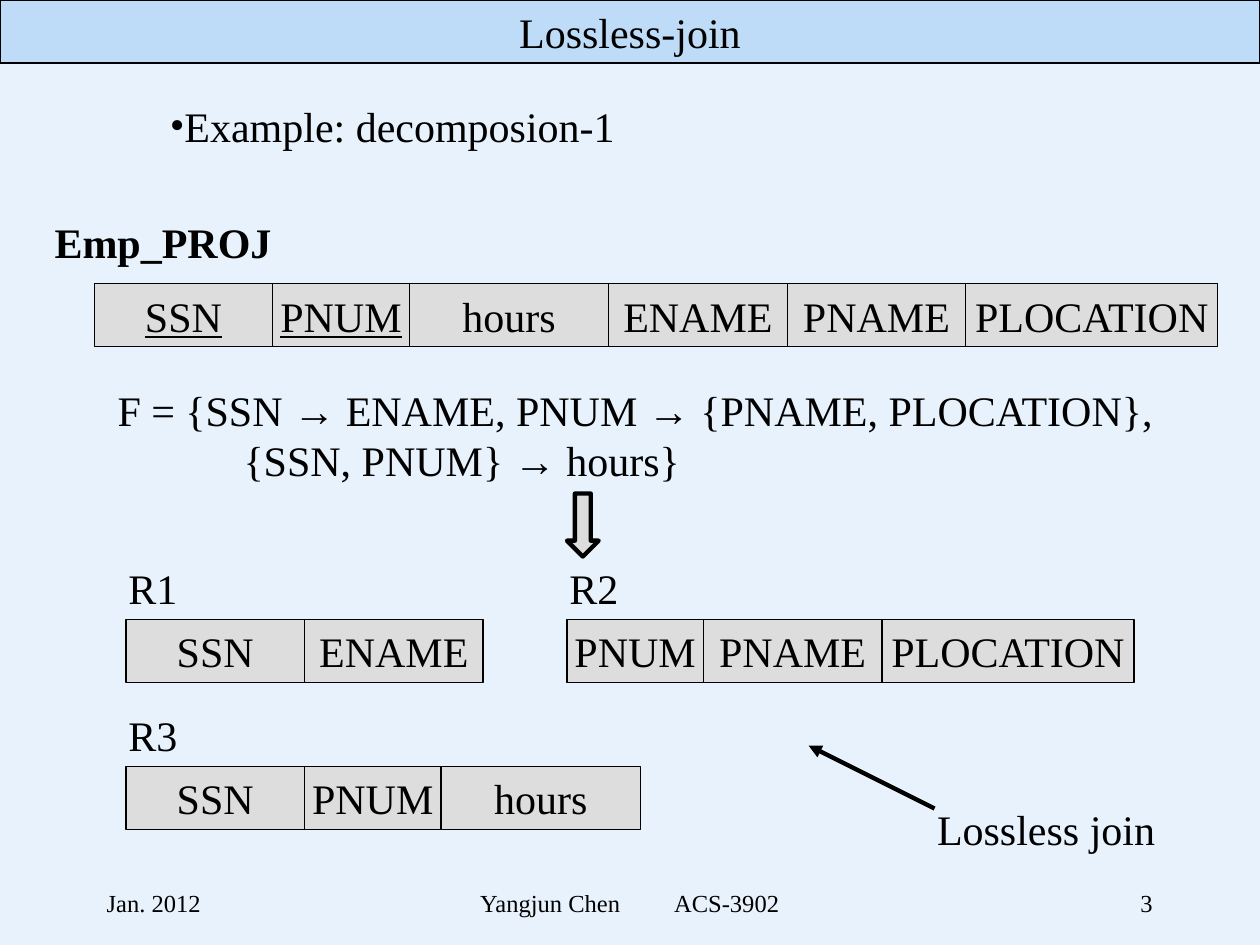
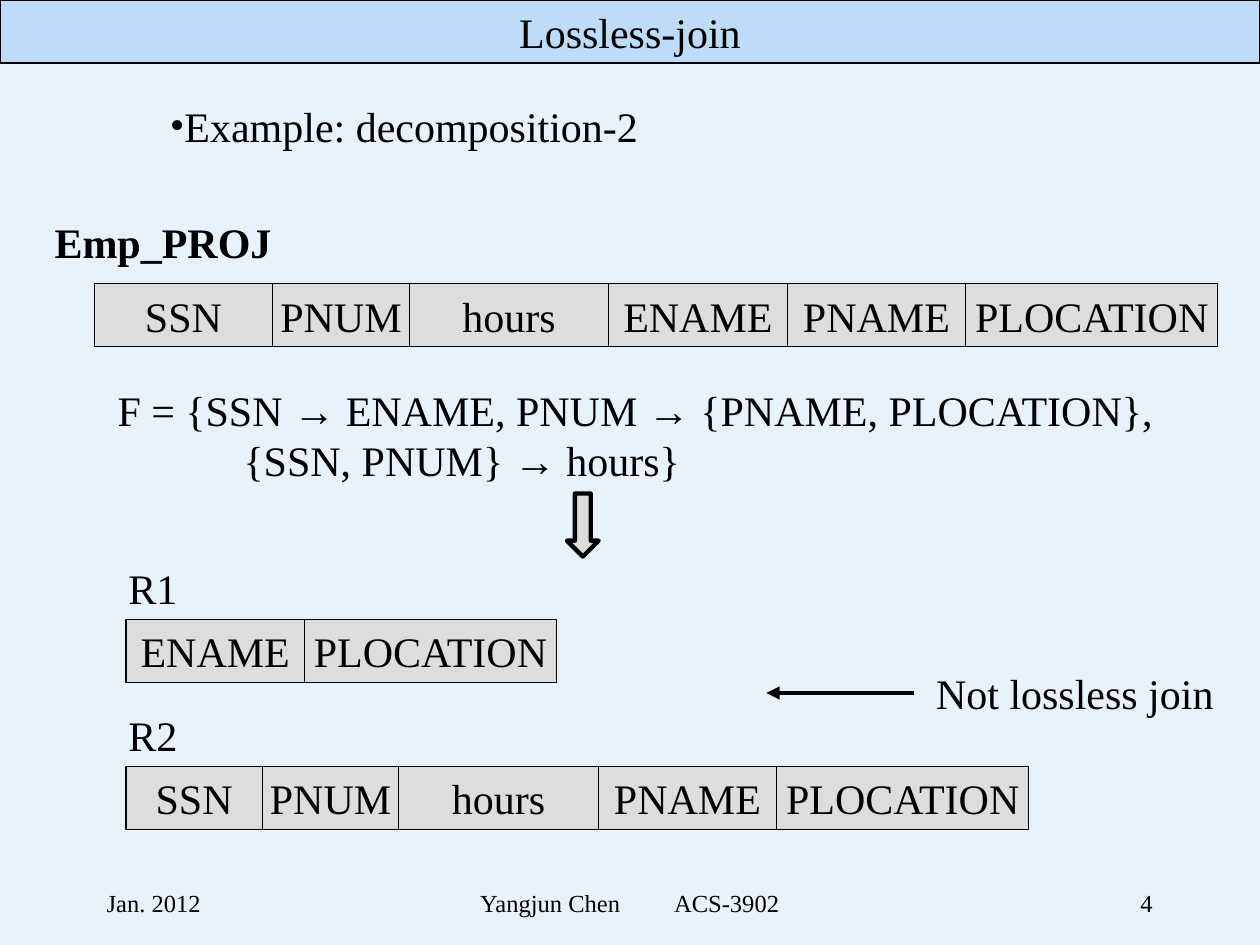
import itertools

import pptx
import pptx.dml.color
import pptx.enum.shapes
import pptx.enum.text
import pptx.oxml.ns
import pptx.util
from lxml import etree

Cm = pptx.util.Cm
Pt = pptx.util.Pt
Align = pptx.enum.text.PP_ALIGN
Anchor = pptx.enum.text.MSO_ANCHOR

BACKGROUND, BAND, CELL, INK = "E8F2FC", "BEDCF8", "DDDDDD", "000000"
TEXT_FONT, ARROW_FONT = "Times New Roman", "Arial"
TEXT_SIZE, FOOTER_SIZE = 24, 14

# Lengths in centimetres
SLIDE_WIDTH, SLIDE_HEIGHT = 25.4, 19.05
ROW_HEIGHT = 1.27
COLUMN_WIDTHS = {"SSN": 3.6, "PNUM": 2.75, "hours": 4.02,
                 "ENAME": 3.6, "PNAME": 3.6, "PLOCATION": 5.08}
LEFT, MIDDLE = 2.54, 11.43
UPPER, LOWER = 12.49, 15.45

TITLE = "Lossless-join"
SOURCE_RELATION = "Emp_PROJ"
SOURCE_ATTRIBUTES = ["SSN", "PNUM", "hours", "ENAME", "PNAME", "PLOCATION"]
DEPENDENCIES = ["F = {SSN → ENAME, PNUM → {PNAME, PLOCATION},",
                "{SSN, PNUM} → hours}"]
DATE = "Jan. 2012"
AUTHOR_AND_COURSE = ["Yangjun Chen", "ACS-3902"]

EXAMPLES = [
    {
        "page": "3",
        "heading": "Example: decomposion-1",
        "keys": ["SSN", "PNUM"],
        "relations": [
            ("R1", LEFT, UPPER, ["SSN", "ENAME"], {}),
            ("R2", MIDDLE, UPPER, ["PNUM", "PNAME", "PLOCATION"], {}),
            ("R3", LEFT, LOWER, ["SSN", "PNUM", "hours"], {}),
        ],
        "verdict": ("Lossless join", 18.64, 16.08),
        "pointer": (18.84, 16.3, 16.3, 15.03),
    },
    {
        "page": "4",
        "heading": "Example: decomposition-2",
        "keys": [],
        "relations": [
            ("R1", LEFT, UPPER, ["ENAME", "PLOCATION"], {}),
            ("R2", LEFT, LOWER,
             ["SSN", "PNUM", "hours", "PNAME", "PLOCATION"], {"SSN": 2.75}),
        ],
        "verdict": ("Not lossless join", 18.62, 13.34),
        "pointer": (18.42, 13.97, 15.45, 13.97),
    },
]


def color(hex_string):
    return pptx.dml.color.RGBColor.from_string(hex_string)


def add_xml(parent, tag, **attributes):
    return etree.SubElement(parent, pptx.oxml.ns.qn(tag), attributes)


def place(shape, left, top, width, height):
    shape.left, shape.top = Cm(left), Cm(top)
    shape.width, shape.height = Cm(width), Cm(height)


def paint(shape, fill, line_width=0.75):
    shape.fill.solid()
    shape.fill.fore_color.rgb = color(fill)
    shape.line.color.rgb = color(INK)
    shape.line.width = Pt(line_width)


def write(shape, lines, size=TEXT_SIZE, align=Align.LEFT, anchor=Anchor.TOP,
          wrap=True, bold=False, underline=False):
    """Fill a shape with paragraphs, setting each → in the arrow font."""
    frame = shape.text_frame
    frame.auto_size = pptx.enum.text.MSO_AUTO_SIZE.NONE
    frame.word_wrap = wrap
    frame.vertical_anchor = anchor
    for number, line in enumerate(lines):
        paragraph = frame.add_paragraph() if number else frame.paragraphs[0]
        paragraph.alignment = align
        paragraph.space_before = Pt(0)
        for is_arrow, letters in itertools.groupby(line, lambda letter: letter == "→"):
            run = paragraph.add_run()
            run.text = "".join(letters)
            run.font.name = ARROW_FONT if is_arrow else TEXT_FONT
            run.font.size = Pt(size)
            run.font.bold = bold
            run.font.underline = underline
            run.font.color.rgb = color(INK)
    return frame


def add_text(slide, lines, left, top, width, height=ROW_HEIGHT, **style):
    box = slide.shapes.add_textbox(Cm(left), Cm(top), Cm(width), Cm(height))
    return write(box, lines, **style)


def add_shape(slide, kind, left, top, width, height, line_width=0.75):
    shape = slide.shapes.add_shape(kind, Cm(left), Cm(top), Cm(width), Cm(height))
    shape.shadow.inherit = False
    paint(shape, CELL, line_width)
    return shape


def add_relation(slide, left, top, attributes, widths, keys=()):
    """Draw the attributes as touching cells, underlining the keys."""
    for attribute in attributes:
        width = widths[attribute]
        cell = add_shape(slide, pptx.enum.shapes.MSO_SHAPE.RECTANGLE,
                         left, top, width, ROW_HEIGHT)
        write(cell, [attribute], align=Align.CENTER, anchor=Anchor.MIDDLE,
              wrap=False, underline=attribute in keys)
        left += width


def add_pointer(slide, ends):
    pointer = slide.shapes.add_connector(
        pptx.enum.shapes.MSO_CONNECTOR.STRAIGHT, *[Cm(end) for end in ends])
    pointer.line.color.rgb = color(INK)
    pointer.line.width = Pt(2.5)
    add_xml(pointer.line._get_or_add_ln(), "a:tailEnd", type="triangle")
    add_xml(pointer._element.spPr, "a:effectLst")


def add_title(slide):
    title = slide.shapes.title
    place(title, 0, 0, SLIDE_WIDTH, ROW_HEIGHT)
    paint(title, BAND)
    write(title, [TITLE], align=Align.CENTER)


def add_heading(slide, heading):
    body = slide.placeholders[1]
    place(body, 1.9, 1.9, 22.86, ROW_HEIGHT)
    paragraph = write(body, [heading]).paragraphs[0]
    properties = paragraph._p.get_or_add_pPr()
    properties.set("marL", str(Cm(0.53)))
    properties.set("indent", str(Cm(0.74)))
    add_xml(add_xml(properties, "a:buClr"), "a:srgbClr", val=INK)
    add_xml(properties, "a:buFont", typeface=TEXT_FONT)
    add_xml(properties, "a:buChar", char="•")


def add_footer(slide, page):
    top = 17.78
    add_text(slide, [DATE], 1.9, top, 5.29, size=FOOTER_SIZE)
    frame = add_text(slide, ["\t".join(AUTHOR_AND_COURSE)], 9.43, top, 7,
                     size=FOOTER_SIZE)
    tabs = add_xml(frame.paragraphs[0]._p.get_or_add_pPr(), "a:tabLst")
    add_xml(tabs, "a:tab", pos=str(Cm(3.91)), algn="l")
    add_text(slide, [page], 18.2, top, 5.29, size=FOOTER_SIZE, align=Align.RIGHT)


def add_example(presentation, example):
    slide = presentation.slides.add_slide(presentation.slide_layouts[1])
    add_title(slide)
    add_heading(slide, example["heading"])

    add_text(slide, [SOURCE_RELATION], 0.85, 4.23, 9.31, bold=True)
    add_relation(slide, 1.9, 5.72, SOURCE_ATTRIBUTES, COLUMN_WIDTHS, example["keys"])

    frame = add_text(slide, DEPENDENCIES, 2.12, 7.62, 22.65, 2.29)
    frame.paragraphs[1]._p.get_or_add_pPr().set("marL", str(Cm(2.54)))
    add_shape(slide, pptx.enum.shapes.MSO_SHAPE.DOWN_ARROW,
              MIDDLE, 9.95, 0.64, ROW_HEIGHT, line_width=2.5)

    for name, left, top, attributes, own_widths in example["relations"]:
        add_text(slide, [name], left - 0.2, top - ROW_HEIGHT, 1.5)
        add_relation(slide, left, top, attributes, COLUMN_WIDTHS | own_widths)

    verdict, left, top = example["verdict"]
    add_text(slide, [verdict], left, top, 6.5)
    add_pointer(slide, example["pointer"])
    add_footer(slide, example["page"])


def main():
    presentation = pptx.Presentation()
    presentation.slide_width = Cm(SLIDE_WIDTH)
    presentation.slide_height = Cm(SLIDE_HEIGHT)
    background = presentation.slide_master.background.fill
    background.solid()
    background.fore_color.rgb = color(BACKGROUND)
    for example in EXAMPLES:
        add_example(presentation, example)
    presentation.save("out.pptx")


if __name__ == "__main__":
    main()
